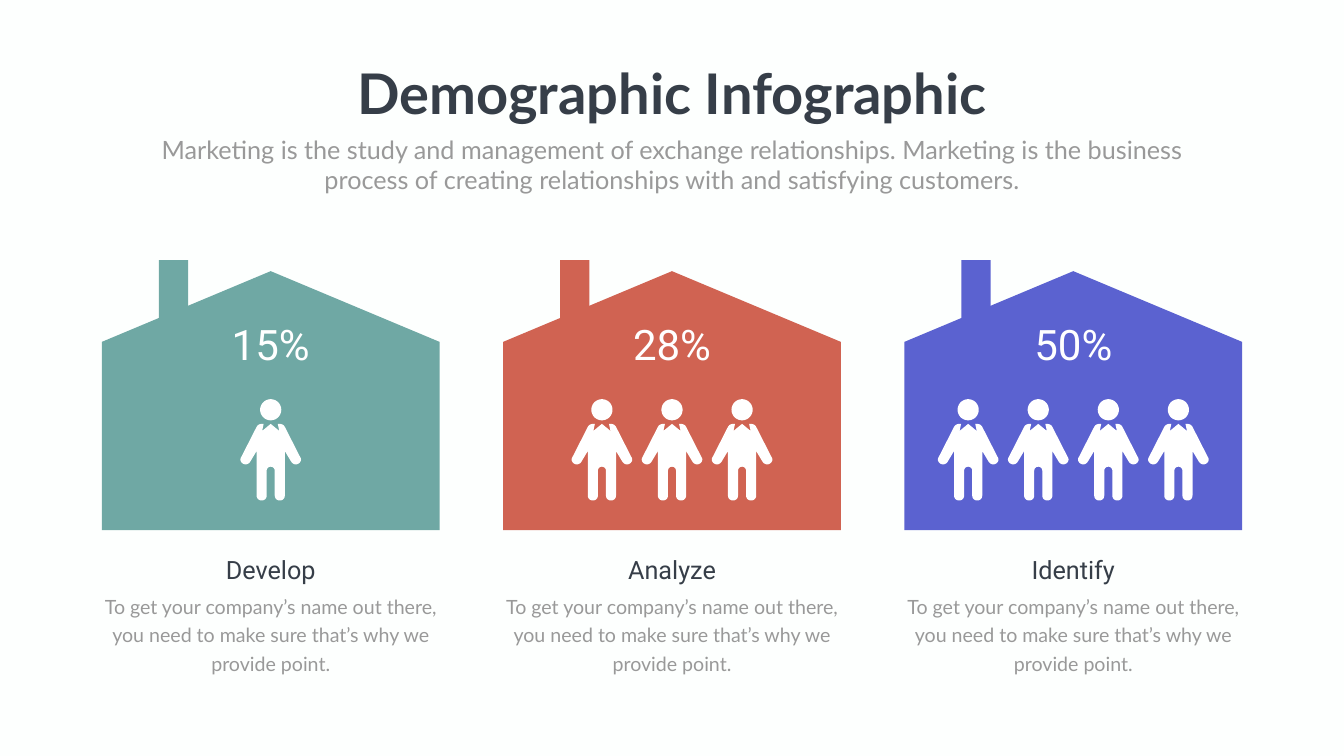
"""Builds the demographic infographic slide with three houses of people."""
from math import cos, pi, sin

from pptx import Presentation, util as u
from pptx.dml.color import RGBColor
from pptx.enum import shapes, text

WIDE, HIGH = 26.66, 15
HEX = {"page": "FDFFFE", "dark": "363E48", "gray": "999999", "white": "FFFFFF",
       "teal": "6FA8A4", "red": "D06352", "blue": "5B62D0"}
TITLE = "Demographic Infographic"
INTRO = ("Marketing is the study and management of exchange relationships. "
         "Marketing is the business process of creating relationships "
         "with and satisfying customers.")
NOTE = ("To get your company’s name out there, you need to make sure "
        "that’s why we provide point.")
HOUSES = [("Develop", "15%", 1, "teal"),
          ("Analyze", "28%", 3, "red"),
          ("Identify", "50%", 4, "blue")]

MID = WIDE / 2
STEP = 7.96
GAP = 1.39
BODY_W, BODY_H = 6.7, 5.14
HOUSE_Y = 5.38
MAN_Y = 7.92
HEAD = 0.21
UNIT = 1000
HALF = [(0, 1.34), (0.05, 1.34, 0.08, 1.38, 0.08, 1.42), (0.08, 1.91),
        (0.08, 1.97, 0.12, 2.01, 0.18, 2.01),
        (0.24, 2.01, 0.28, 1.97, 0.28, 1.91), (0.28, 1.03), (0.4, 1.23),
        (0.42, 1.27, 0.48, 1.32, 0.55, 1.28),
        (0.6, 1.25, 0.62, 1.19, 0.58, 1.14), (0.28, 0.55),
        (0.26, 0.51, 0.22, 0.49, 0.17, 0.49), (0.14, 0.49),
        (0.17, 0.63), (0, 0.49)]


def paint(fill, name):
    fill.solid()
    fill.fore_color.rgb = RGBColor.from_string(HEX[name])


def plain(shape, name):
    shape.shadow.inherit = False
    paint(shape.fill, name)
    shape.line.fill.background()


def place(shape, mid, top, wide, high):
    shape.left, shape.top = u.Inches(mid - wide / 2), u.Inches(top)
    shape.width, shape.height = u.Inches(wide), u.Inches(high)


def write(shape, words, size, face, name, bold=False, lead=None):
    frame = shape.text_frame
    frame.text = words
    frame.word_wrap = True
    frame.auto_size = text.MSO_AUTO_SIZE.NONE
    frame.vertical_anchor = text.MSO_ANCHOR.TOP
    para = frame.paragraphs[0]
    para.alignment = text.PP_ALIGN.CENTER
    para.space_before = u.Pt(0)
    if lead:
        para.line_spacing = u.Pt(lead)
    font = para.font
    font.size, font.name, font.bold = u.Pt(size), face, bold
    font.color.rgb = RGBColor.from_string(HEX[name])


def label(slide, mid, top, wide, high, *style, **more):
    box = slide.shapes.add_textbox(0, 0, 0, 0)
    place(box, mid, top, wide, high)
    write(box, *style, **more)


def trace(parts, count=6):
    dots = [parts[0]]
    for part in parts[1:]:
        if len(part) == 2:
            dots.append(part)
            continue
        ends = [dots[-1], part[:2], part[2:4], part[4:]]
        for i in range(1, count + 1):
            t = i / count
            mix = ((1 - t) ** 3, 3 * t * (1 - t) ** 2, 3 * t * t * (1 - t), t ** 3)
            dots.append(tuple(sum(m * e[k] for m, e in zip(mix, ends))
                              for k in (0, 1)))
    return dots


def scaled(dots):
    return [(x * UNIT, y * UNIT) for x, y in dots]


def person(slide, mid):
    side = trace(HALF)
    torso = scaled(side + [(-x, y) for x, y in reversed(side[1:-1])])
    turns = [i * pi / 18 for i in range(36)]
    head = scaled([(HEAD * sin(a), HEAD * (1 - cos(a))) for a in turns])
    pen = slide.shapes.build_freeform(*torso[0], scale=u.Inches(1) / UNIT)
    pen.add_line_segments(torso[1:])
    pen.move_to(*head[0])
    pen.add_line_segments(head[1:])
    plain(pen.convert_to_shape(u.Inches(mid), u.Inches(MAN_Y)), "white")


def house(slide, mid, name):
    group = slide.shapes.add_group_shape()
    body = group.shapes.add_shape(shapes.MSO_SHAPE.PENTAGON, 0, 0, 0, 0)
    place(body, mid, HOUSE_Y + (BODY_H - BODY_W) / 2, BODY_H, BODY_W)
    body.rotation = 270
    body.adjustments[0] = 0.273
    stack = group.shapes.add_shape(shapes.MSO_SHAPE.RECTANGLE, 0, 0, 0, 0)
    place(stack, mid - 1.93, 5.16, 0.58, 1.54)
    for shape in (body, stack):
        plain(shape, name)


def main():
    deck = Presentation()
    deck.slide_width, deck.slide_height = u.Inches(WIDE), u.Inches(HIGH)
    slide = deck.slides.add_slide(deck.slide_layouts[0])
    paint(slide.background.fill, "page")
    title, intro = slide.placeholders
    place(title, MID, 1.12, 12.93, 1.45)
    write(title, TITLE, 80, "Lato", "dark", bold=True)
    place(intro, MID, 2.61, 20.82, 1.31)
    write(intro, INTRO, 36, "Lato", "gray")

    for col, (name, share, count, tint) in enumerate(HOUSES):
        mid = MID + (col - 1) * STEP
        house(slide, mid, tint)
        label(slide, mid, 6.27, 4.01, 1.11, share, 60, "Roboto", "white")
        for i in range(count):
            person(slide, mid + (i - (count - 1) / 2) * GAP)
        label(slide, mid, 10.94, 5.72, 0.71, name, 36, "Roboto", "dark")
        label(slide, mid, 11.65, 7.1, 1.77, NOTE, 28, "Lato", "gray", lead=40.8)
    deck.save("out.pptx")


if __name__ == "__main__":
    main()
